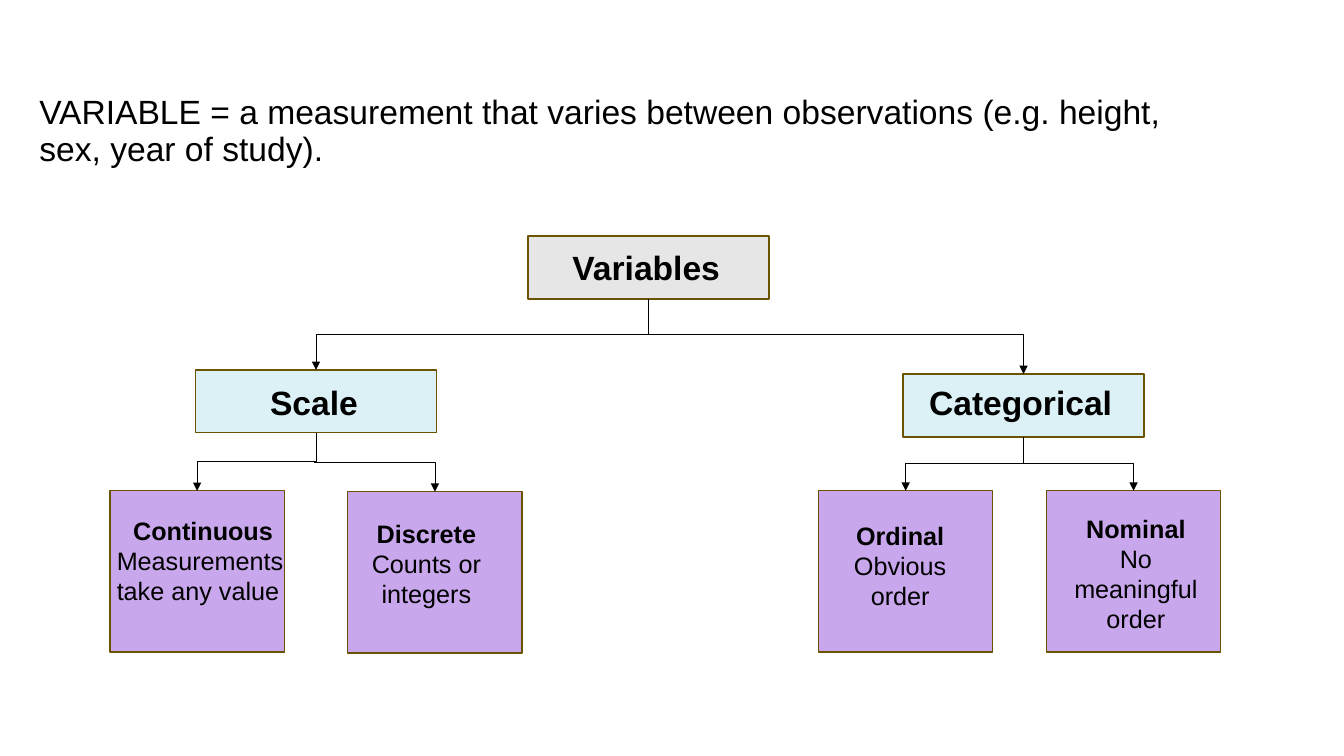
from pptx import Presentation
from pptx.dml.color import RGBColor
from pptx.enum.shapes import MSO_CONNECTOR, MSO_SHAPE
from pptx.enum.text import MSO_AUTO_SIZE, PP_ALIGN
from pptx.oxml.ns import qn
from pptx.util import Pt
from lxml.etree import SubElement

BLACK = RGBColor(0, 0, 0)
GREY = RGBColor(0xE6, 0xE6, 0xE6)
CYAN = RGBColor(0xDB, 0xF1, 0xF6)
LILAC = RGBColor(0xC9, 0xA7, 0xED)
BROWN = RGBColor(0x6C, 0x53, 0x00)

HEAD = (172, 45)
LEAF = (124.6, 115.2)
BIG = {"size": Pt(24), "bold": True}
BOLD = {"size": Pt(18), "bold": True}
BODY = {"size": Pt(18), "bold": False}
MID = {"alignment": PP_ALIGN.CENTER}
LEFT = {"alignment": PP_ALIGN.LEFT}
FLUSH = {"margin_left": 0, "margin_right": 0, "margin_top": 0, "margin_bottom": 0}
GROW = {"auto_size": MSO_AUTO_SIZE.SHAPE_TO_FIT_TEXT}


def style(item, look):
    for name, value in look.items():
        setattr(item, name, value)


def write(slide, box, lines, frame=GROW):
    area = slide.shapes.add_textbox(*map(Pt, box)).text_frame
    style(area, {"word_wrap": True, **frame})
    for i, (text, font, para) in enumerate(lines):
        line = area.add_paragraph() if i else area.paragraphs[0]
        style(line, para)
        run = line.add_run()
        run.text = text
        style(run.font, {"name": "Arial", **font})
        run.font.color.rgb = BLACK


def block(slide, box, fill):
    rect = slide.shapes.add_shape(MSO_SHAPE.RECTANGLE, *map(Pt, box))
    rect.shadow.inherit = False
    rect.fill.solid()
    rect.fill.fore_color.rgb = fill
    rect.line.color.rgb = BROWN
    rect.line.width = Pt(1)


def arrow(slide, start, end):
    link = slide.shapes.add_connector(MSO_CONNECTOR.ELBOW, *map(Pt, start + end))
    link.line.color.rgb = BLACK
    link.line.width = Pt(0.5)
    SubElement(link.line._get_or_add_ln(), qn("a:tailEnd"), type="triangle")
    SubElement(link._element.spPr, qn("a:effectLst"))
    return link


def drop(slide, start, end):
    link = arrow(slide, start, end)
    (x, y), (u, v) = start, end
    wide, high = abs(u - x), v - y
    place = {"left": (x + u - high) / 2, "top": (y + v - wide) / 2,
             "width": high, "height": wide}
    style(link, {name: Pt(value) for name, value in place.items()})
    frame = link._element.spPr.find(qn("a:xfrm"))
    frame.set("rot", str((90 if u < x else 270) * 60000))
    frame.set("flipH", "0" if u < x else "1")


def turn(slide, start, end):
    link = arrow(slide, start, end)
    link._element.spPr.find(qn("a:prstGeom")).set("prst", "bentConnector2")


def head(slide, box, fill, text, dx, dy, wide):
    x, y = box[:2]
    block(slide, box, fill)
    write(slide, (x + dx, y + dy, wide, 36), [(text, BIG, LEFT)])


def leaf(slide, box, title, note, dx, dy, wide, para=MID):
    x, y = box[:2]
    block(slide, box, LILAC)
    write(slide, (x + dx, y + dy, wide, 73), [(title, BOLD, MID), (note, BODY, para)])


def intro(slide, box):
    text = ("VARIABLE = a measurement that varies between observations "
            "(e.g. height, sex, year of study).")
    para = {"line_spacing": 0.9, "space_before": Pt(10)}
    write(slide, box, [(text, {"size": Pt(24)}, para)], FLUSH)


def scale(slide, box):
    x, y = box
    head(slide, (x, y, *HEAD), CYAN, "Scale", 46.1, 5.1, 115)
    leaf(slide, (x - 61.2, y + 86.4, *LEAF), "Continuous",
         "Measurements take any value", -2.2, 13.7, 137.5, LEFT)
    leaf(slide, (x + 108.7, y + 87.1, *LEAF), "Discrete",
         "Counts or integers", -5, 15.1, 122.4)
    drop(slide, (x + 86, y + 45), (x + 1.1, y + 86.4))
    turn(slide, (x + 84.6, y + 66.3), (x + 171, y + 87.1))


def groups(slide, box):
    x, y = box
    head(slide, (x, y, *HEAD), CYAN, "Categorical", 11.5, 2.2, 158.4)
    leaf(slide, (x - 60.5, y + 83.5, *LEAF), "Ordinal",
         "Obvious order", -2.8, 17.3, 122.4)
    leaf(slide, (x + 102.3, y + 83.5, *LEAF), "Nominal",
         "No meaningful order", 2.8, 12.3, 122.4)
    for tip in (1.8, 164.6):
        drop(slide, (x + 86, y + 45), (x + tip, y + 83.5))


def tree(slide, box):
    x, y = box
    head(slide, (x, y, *HEAD), GREY, "Variables", 24.5, 4.3, 139)
    scale(slide, (x - 237.6, y + 95.7))
    groups(slide, (x + 267.8, y + 98.6))
    drop(slide, (x + 86, y + 45), (x - 151.6, y + 95.7))
    turn(slide, (x + 85, y + 70.5), (x + 353.8, y + 98.6))


def main():
    deck = Presentation()
    style(deck, {"slide_width": Pt(960), "slide_height": Pt(540)})
    slide = deck.slides.add_slide(deck.slide_layouts[6])
    intro(slide, (28.1, 68.4, 822.2, 405.4))
    tree(slide, (377.3, 168.5))
    deck.save("out.pptx")


if __name__ == "__main__":
    main()
